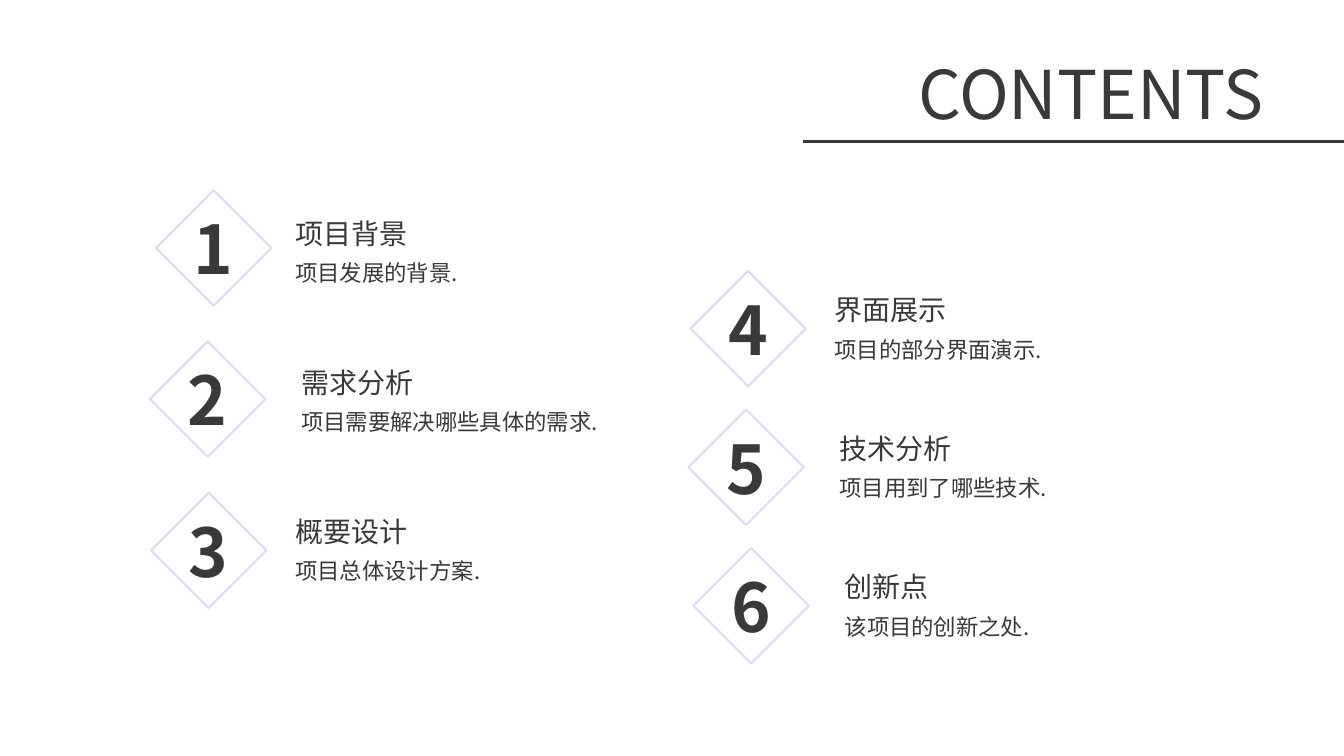
from dataclasses import dataclass

from lxml.etree import SubElement
from pptx import Presentation
from pptx.dml.color import RGBColor
from pptx.enum.shapes import MSO_CONNECTOR, MSO_SHAPE
from pptx.enum.text import MSO_ANCHOR, MSO_AUTO_SIZE, PP_ALIGN
from pptx.oxml.ns import qn
from pptx.util import Inches, Pt

FONT = "Noto Sans CJK SC"
DARK = RGBColor(0x3B, 0x38, 0x38)
PALE_BLUE = RGBColor(0xD8, 0xDE, 0xED)

PAGE_WIDTH, PAGE_HEIGHT = 13.33, 7.5
DIAMOND_SIDE = 0.81
NUMBER_SIZE = 1.0
HEADING_WIDTH, HEADING_HEIGHT = 3.05, 0.44
DETAIL_WIDTH, DETAIL_HEIGHT = 4.2, 0.37
DETAIL_DROP = 0.43  # from the top of a heading to the top of its detail


@dataclass
class Column:
    """One column of entries: first row and row pitch of marks and of texts."""
    mark_middle: float
    mark_pitch: float
    text_top: float
    text_pitch: float
    entries: list  # mark centre, text left, heading, detail


COLUMNS = [
    Column(2.46, 1.5, 2.09, 1.48, [
        (2.12, 2.83, "项目背景", "项目发展的背景."),
        (2.06, 2.89, "需求分析", "项目需要解决哪些具体的需求."),
        (2.07, 2.83, "概要设计", "项目总体设计方案."),
    ]),
    Column(3.26, 1.375, 2.85, 1.375, [
        (7.42, 8.18, "界面展示", "项目的部分界面演示."),
        (7.4, 8.23, "技术分析", "项目用到了哪些技术."),
        (7.45, 8.28, "创新点", "该项目的创新之处."),
    ]),
]


def write(shape, text, size, align=PP_ALIGN.LEFT, bold=False):
    """Put one formatted run into a shape, centred vertically."""
    frame = shape.text_frame
    frame.word_wrap = True
    frame.auto_size = MSO_AUTO_SIZE.NONE
    frame.vertical_anchor = MSO_ANCHOR.MIDDLE
    para = frame.paragraphs[0]
    para.alignment = align
    span = para.add_run()
    span.text = text
    span.font.size = Pt(size)
    span.font.bold = bold
    span.font.color.rgb = DARK
    span.font.name = FONT
    SubElement(span.font._element, qn("a:ea"), typeface=FONT)


def add_text(page, left, top, width, height, text, size):
    box = page.shapes.add_textbox(
        Inches(left), Inches(top), Inches(width), Inches(height))
    write(box, text, size)


def add_centred_shape(page, kind, centre, middle, size):
    """Add an unfilled, unshadowed square-sized shape around a point."""
    shape = page.shapes.add_shape(
        kind, Inches(centre - size / 2), Inches(middle - size / 2),
        Inches(size), Inches(size))
    shape.shadow.inherit = False
    shape.fill.background()
    return shape


def add_mark(page, centre, middle, number):
    diamond = add_centred_shape(
        page, MSO_SHAPE.RECTANGLE, centre, middle, DIAMOND_SIDE)
    diamond.rotation = 315
    diamond.line.color.rgb = PALE_BLUE
    diamond.line.width = Pt(1.5)

    circle = add_centred_shape(
        page, MSO_SHAPE.OVAL, centre, middle, NUMBER_SIZE)
    circle.line.fill.background()
    write(circle, str(number), 48, PP_ALIGN.CENTER, bold=True)


def add_title(page):
    title = page.shapes.title
    title.left, title.top = Inches(8.31), Inches(0.43)
    title.width, title.height = Inches(PAGE_WIDTH - 8.31), Inches(0.98)
    write(title, "CONTENTS", 48, PP_ALIGN.CENTER)

    rule = page.shapes.add_connector(
        MSO_CONNECTOR.STRAIGHT, Inches(7.96), Inches(1.4),
        Inches(PAGE_WIDTH), Inches(1.4))
    rule.line.color.rgb = DARK
    rule.line.width = Pt(2)
    SubElement(rule._element.spPr, qn("a:effectLst"))


def add_column(page, column, first_number):
    for row, (centre, left, heading, detail) in enumerate(column.entries):
        middle = column.mark_middle + row * column.mark_pitch
        top = column.text_top + row * column.text_pitch
        add_mark(page, centre, middle, first_number + row)
        add_text(page, left, top, HEADING_WIDTH, HEADING_HEIGHT, heading, 20)
        add_text(page, left, top + DETAIL_DROP,
                 DETAIL_WIDTH, DETAIL_HEIGHT, detail, 16)


def main():
    deck = Presentation()
    deck.slide_width = Inches(PAGE_WIDTH)
    deck.slide_height = Inches(PAGE_HEIGHT)
    page = deck.slides.add_slide(deck.slide_layouts.get_by_name("Title Only"))

    # Title with its rule
    add_title(page)

    # Numbered entries, counted on from column to column
    number = 1
    for column in COLUMNS:
        add_column(page, column, number)
        number += len(column.entries)

    deck.save("out.pptx")


if __name__ == "__main__":
    main()
